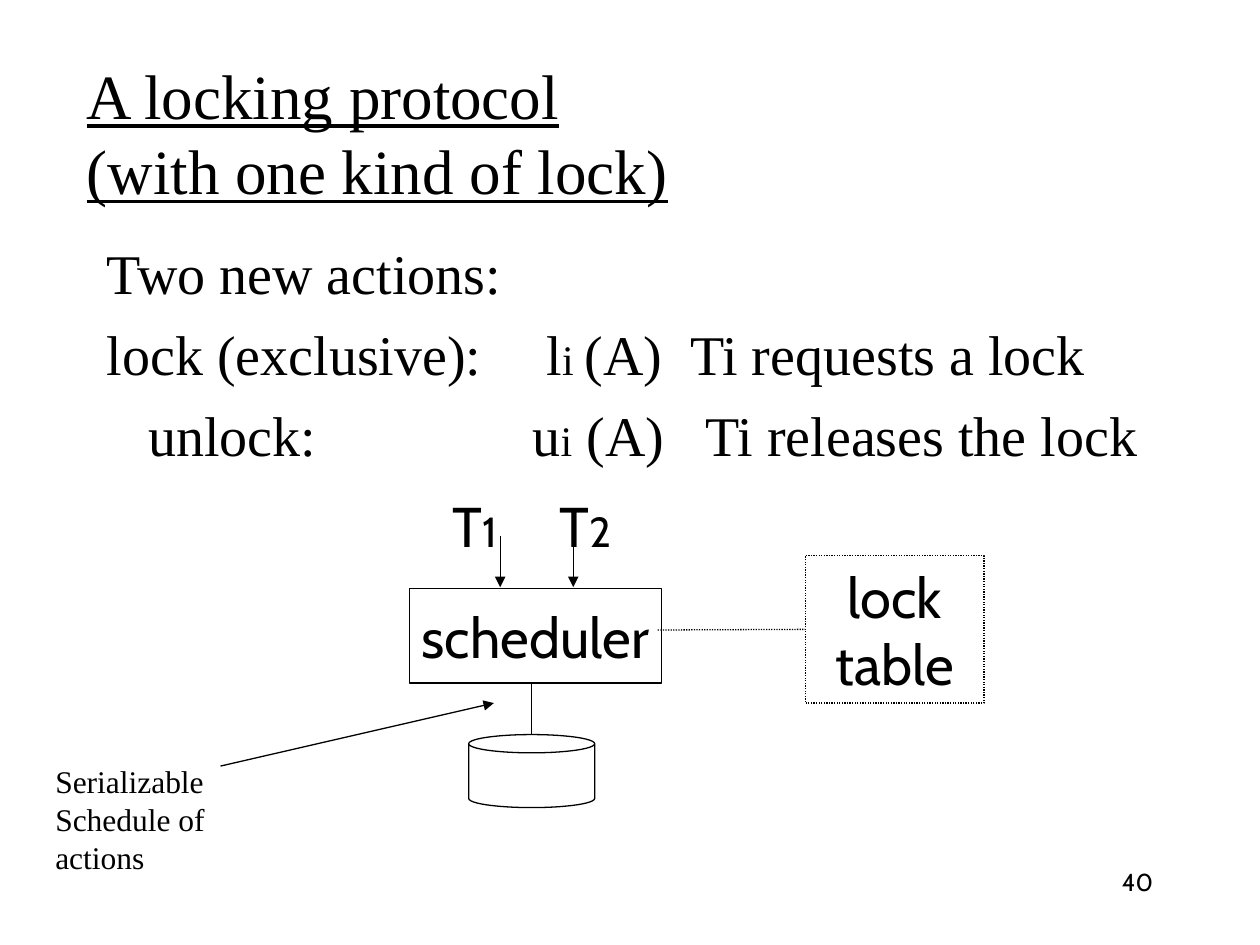
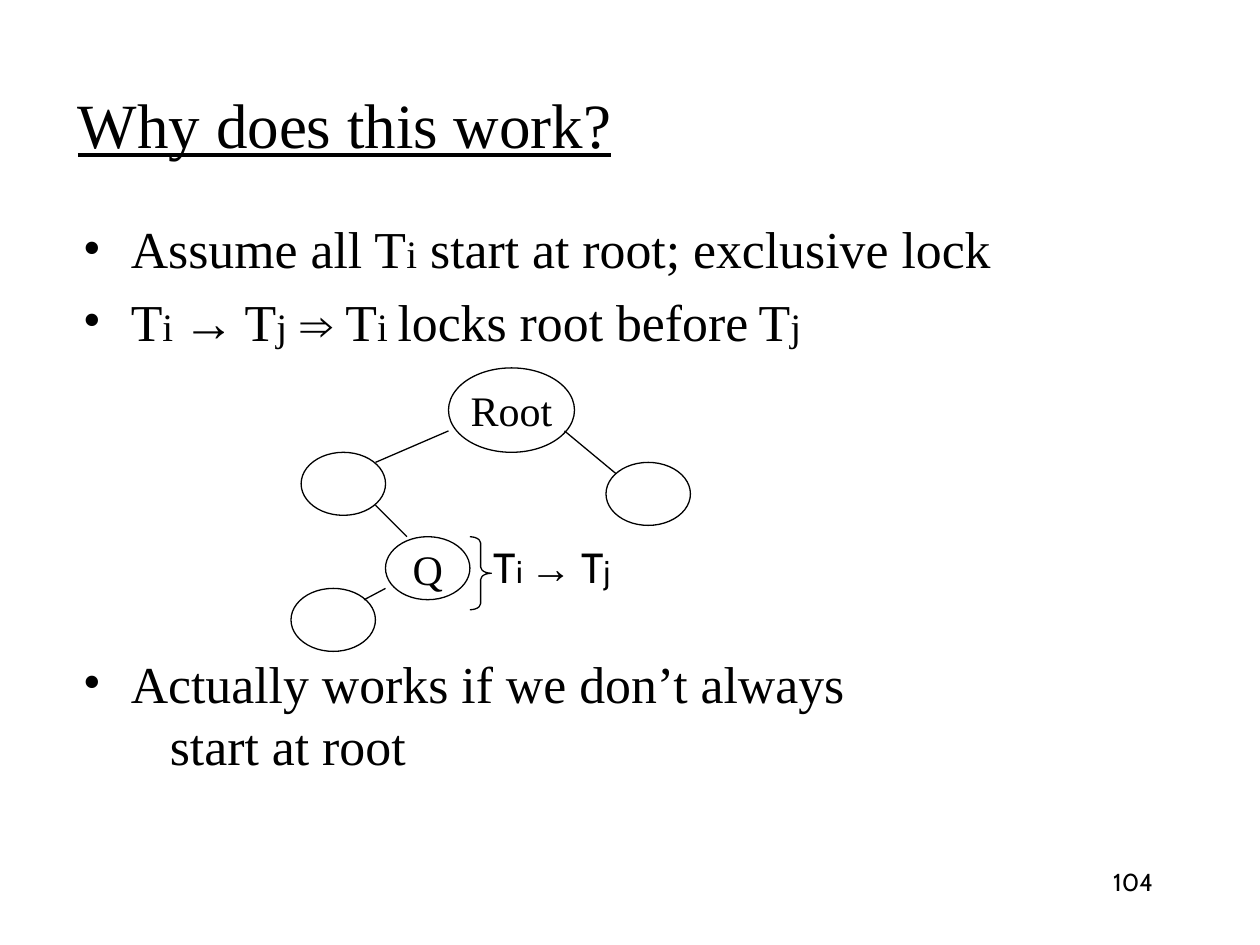
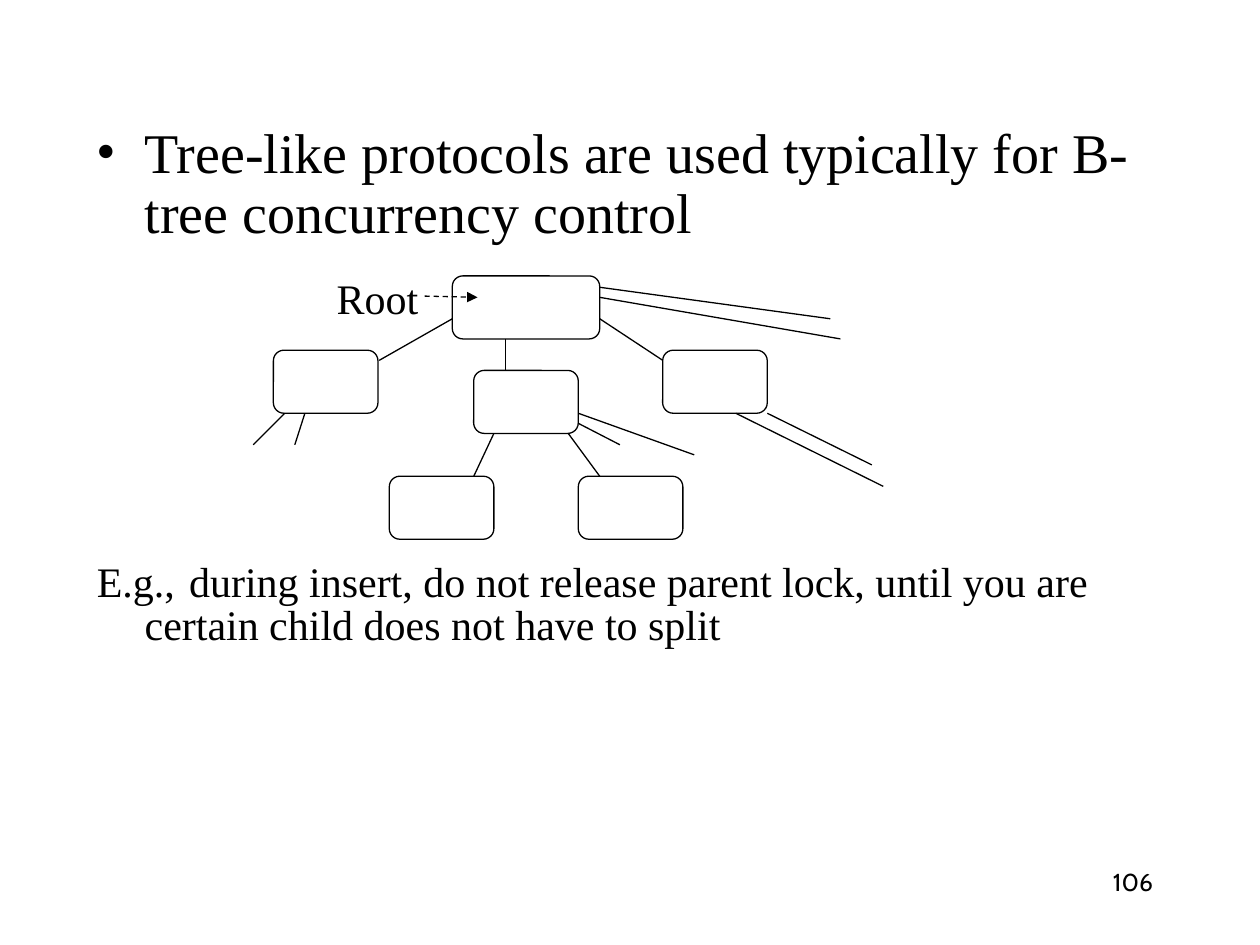
from dataclasses import dataclass

from lxml import etree
from pptx import Presentation
from pptx import util as u
from pptx.dml import color
from pptx.enum import dml, shapes, text
from pptx.oxml import ns

SHAPE = shapes.MSO_SHAPE
LEFT, MID, RIGHT = text.PP_ALIGN.LEFT, text.PP_ALIGN.CENTER, text.PP_ALIGN.RIGHT


@dataclass(frozen=True)
class Theme:
    ink: color.RGBColor = color.RGBColor(0, 0, 0)
    paper: color.RGBColor = color.RGBColor(255, 255, 255)
    serif: str = "Times New Roman"
    sans: str = "Cabin"
    sign: str = "Arial"
    title: float = 36
    body: float = 32
    sub: float = 24
    point: float = 29.6
    small: float = 22.2
    arrow: float = 25.9
    node: float = 24
    tiny: float = 18
    page: float = 14
    line: float = 0.75
    hang: float = 0.38


T = Theme()


def add(parent, tag, **attrs):
    return etree.SubElement(parent, ns.qn(tag), attrs)


def write(para, words, size, face=T.serif, align=LEFT, before=0, space=None,
          margin=0, indent=0, bullet=False, tabs=(), under=False):
    para.alignment = align
    if before:
        para.space_before = u.Pt(before)
    if space:
        para.line_spacing = space
    props = para._p.get_or_add_pPr()
    if margin:
        props.set("marL", str(u.Inches(margin)))
        props.set("indent", str(u.Inches(indent)))
    if bullet:
        add(props, "a:buFont", typeface=face)
        add(props, "a:buChar", char="•")
    if tabs:
        stops = add(props, "a:tabLst")
        for stop in tabs:
            add(stops, "a:tab", pos=str(u.Inches(stop)), algn="l")
    font = para.font
    font.name, font.size, font.color.rgb = face, u.Pt(size), T.ink
    if under:
        font.underline = True
    if isinstance(words, str):
        para.text = words
        return
    for part, scale, *other in words:
        run = para.add_run()
        run.text = part
        run.font.size = u.Pt(scale)
        if other:
            run.font.name = other[0]


def fill(shape, paras, anchor, wrap, **style):
    frame = shape.text_frame
    frame.word_wrap = wrap
    frame.vertical_anchor = anchor
    for i, item in enumerate(paras):
        para = frame.add_paragraph() if i else frame.paragraphs[0]
        words, own = item if isinstance(item, tuple) else (item, {})
        write(para, words, **{**style, **own})


def add_text(slide, box, paras, anchor=text.MSO_ANCHOR.TOP, wrap=True, **style):
    shape = slide.shapes.add_textbox(*map(u.Inches, box))
    fill(shape, paras, anchor, wrap, **style)


def pen(line, dash=None):
    line.color.rgb = T.ink
    line.width = u.Pt(T.line)
    if dash:
        line.dash_style = dash


def add_box(slide, kind, box, words=(), size=T.node, face=T.serif, dash=None):
    shape = slide.shapes.add_shape(kind, *map(u.Inches, box))
    shape.shadow.inherit = False
    shape.fill.solid()
    shape.fill.fore_color.rgb = T.paper
    pen(shape.line, dash)
    if words:
        fill(shape, words, text.MSO_ANCHOR.MIDDLE, False,
             size=size, face=face, align=MID)
    return shape


def add_line(slide, ends, dash=None, head=False):
    link = slide.shapes.add_connector(
        shapes.MSO_CONNECTOR.STRAIGHT, *map(u.Inches, ends))
    pen(link.line, dash)
    if head:
        add(link.line._get_or_add_ln(), "a:tailEnd", type="triangle")
    add(link._element.spPr, "a:effectLst")
    return link


def add_title(slide, box, words):
    add_text(slide, box, [words], text.MSO_ANCHOR.MIDDLE,
             size=T.title, under=True)


def new_slide(deck, page):
    slide = deck.slides.add_slide(deck.slide_layouts[6])
    add_text(slide, (7.17, 6.83, 2.08, 0.5), [page],
             size=T.page, face=T.sans, align=RIGHT)
    return slide


def draw_lock(deck):
    slide = new_slide(deck, "40")
    add_title(slide, (0.59, 0.42, 8.5, 1.25),
              "A locking protocol\v(with one kind of lock)")
    lock = [("lock (exclusive):\tl", T.body), ("i ", T.sub),
            ("(A)\tTi requests a lock", T.body)]
    free = [("\tunlock:\tu", T.body), ("i", T.sub),
            (" (A)\tTi releases the lock", T.body)]
    add_text(slide, (0.75, 1.84, 8.5, 4.96), [
        "Two new actions:",
        (lock, dict(before=8, tabs=(3.49, 4.63))),
        (free, dict(before=8, tabs=(0.33, 3.38, 4.75))),
    ], size=T.body)

    add_box(slide, SHAPE.RECTANGLE, (3.25, 4.67, 2, 0.75),
            ["scheduler"], T.body, T.sans)
    add_box(slide, SHAPE.CAN, (3.72, 5.83, 1, 0.58))
    add_line(slide, (4.22, 5.41, 4.22, 5.83))
    names = [("T", T.body), ("1", T.sub), ("\tT", T.body), ("2", T.sub)]
    add_text(slide, (3.49, 3.85, 1.55, 0.64), [names], text.MSO_ANCHOR.MIDDLE,
             size=T.body, face=T.sans, tabs=(0.85,))
    for x, y in ((3.97, 4.25), (4.55, 4.16)):
        add_line(slide, (x, y, x, 4.66), head=True)

    dots = dml.MSO_LINE.ROUND_DOT
    table = add_box(slide, SHAPE.RECTANGLE, (6.39, 4.41, 1.42, 1.17),
                    ["lock", "table"], T.body, T.sans, dots)
    link = add_line(slide, (5.22, 5, 6.39, 5), dots)
    link.end_connect(table, 1)
    add_line(slide, (1.75, 6.08, 3.92, 5.58), head=True)
    add_text(slide, (0.34, 6, 1.51, 1),
             ["Serializable", "Schedule of", "actions"], size=T.tiny)


def draw_proof(deck):
    slide = new_slide(deck, "104")
    add_title(slide, (0.52, 0.49, 8.5, 0.97), "Why does this work?")
    big, low = T.point, T.small
    start = [("Assume all T", big), ("i", low),
             (" start at root; exclusive lock", big)]
    order = [("T", big), ("i ", low), ("→", big, T.sign), (" ", low),
             ("T", big), ("j", low), (" ", big), ("⇒ ", T.arrow, T.sign),
             ("T", big), ("i ", low), ("locks root before", big),
             (" ", low), ("T", big), ("j", low)]
    point = dict(margin=T.hang, indent=-T.hang, bullet=True)
    add_text(slide, (0.56, 1.67, 9, 4.5), [
        (start, point),
        (order, dict(point, before=6)),
        ("Actually works if we don’t always", dict(point, before=171.5)),
        ("start at root", dict(margin=0.69)),
    ], size=big)

    add_box(slide, SHAPE.OVAL, (3.56, 2.92, 1, 0.67), ["Root"])
    nodes = ((2.39, 3.59, ()), (4.81, 3.67, ()),
             (3.06, 4.26, ["Q"]), (2.31, 4.67, ()))
    for x, y, words in nodes:
        add_box(slide, SHAPE.OVAL, (x, y, 0.67, 0.5), words)
    pair = [("T", T.node), ("i ", T.tiny), ("→", T.node, T.sign),
            (" T", T.node), ("j", T.tiny)]
    add_text(slide, (3.82, 4.25, 1.3, 0.5), [pair], text.MSO_ANCHOR.MIDDLE,
             size=T.node, face=T.sans)
    for ends in ((3.56, 3.42, 2.98, 3.67), (4.48, 3.42, 4.89, 3.76),
                 (2.98, 4.01, 3.23, 4.26), (3.06, 4.67, 2.89, 4.76)):
        add_line(slide, ends)
    brace = add_box(slide, SHAPE.RIGHT_BRACE, (3.73, 4.26, 0.17, 0.58))
    brace.fill.background()
    brace.adjustments[0] = 0.29


def draw_tree(deck):
    slide = new_slide(deck, "106")
    hang = dict(margin=T.hang, indent=-T.hang)
    note = [("E.g.,", T.node), (" ", T.body),
            ("during insert, do not release parent lock, until you are "
             "certain child does not have to split", T.node)]
    add_text(slide, (0.67, 0.94, 8.5, 4.5), [
        ("Tree-like protocols are used typically for B-tree "
         "concurrency control", dict(bullet=True, space=0.9)),
        (note, dict(before=176.5, space=0.8)),
    ], size=T.body, **hang)

    add_box(slide, SHAPE.ROUNDED_RECTANGLE, (3.59, 2.19, 1.17, 0.5))
    for x, y in ((2.17, 2.78), (3.76, 2.94), (5.26, 2.78),
                 (3.09, 3.78), (4.59, 3.78)):
        add_box(slide, SHAPE.ROUNDED_RECTANGLE, (x, y, 0.83, 0.5))
    add_text(slide, (2.57, 2.11, 0.85, 0.5), ["Root"], text.MSO_ANCHOR.MIDDLE,
             False, size=T.node, align=MID)
    for ends in ((3.59, 2.53, 3.01, 2.86), (4.01, 2.69, 4.01, 2.94),
                 (4.76, 2.53, 5.26, 2.86), (4.76, 2.28, 6.59, 2.53),
                 (4.76, 2.36, 6.67, 2.69), (2.26, 3.28, 2.01, 3.53),
                 (2.42, 3.28, 2.34, 3.53), (3.92, 3.44, 3.76, 3.78),
                 (4.51, 3.44, 4.76, 3.78), (4.59, 3.28, 5.51, 3.61),
                 (4.59, 3.36, 4.92, 3.53), (5.84, 3.28, 7.01, 3.86),
                 (6.09, 3.28, 6.92, 3.69)):
        add_line(slide, ends)
    add_line(slide, (3.37, 2.35, 3.79, 2.36), dml.MSO_LINE.DASH, True)


def main():
    deck = Presentation()
    deck.slide_width, deck.slide_height = u.Inches(10), u.Inches(7.5)
    draw_lock(deck)
    draw_proof(deck)
    draw_tree(deck)
    deck.save("out.pptx")


if __name__ == "__main__":
    main()
